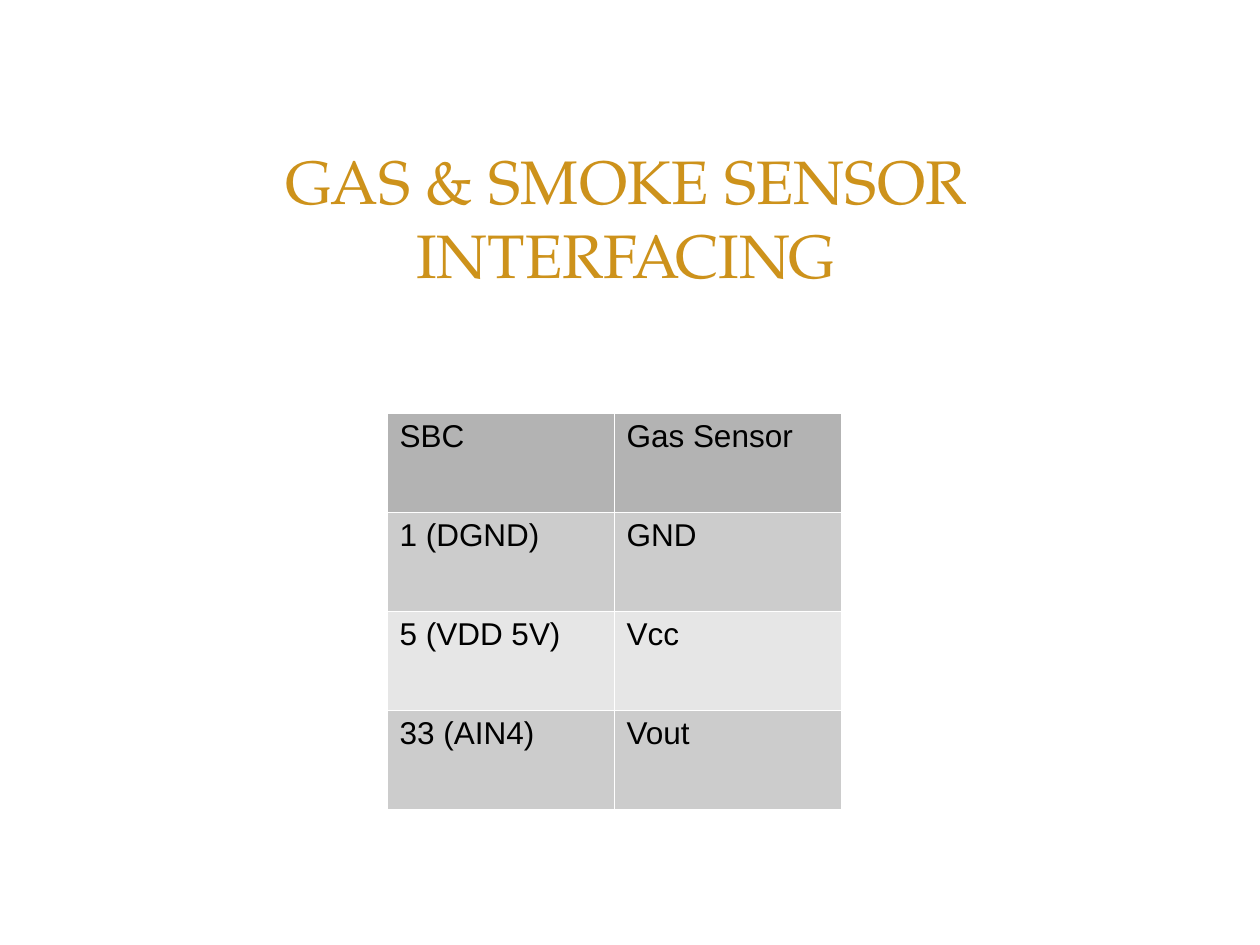
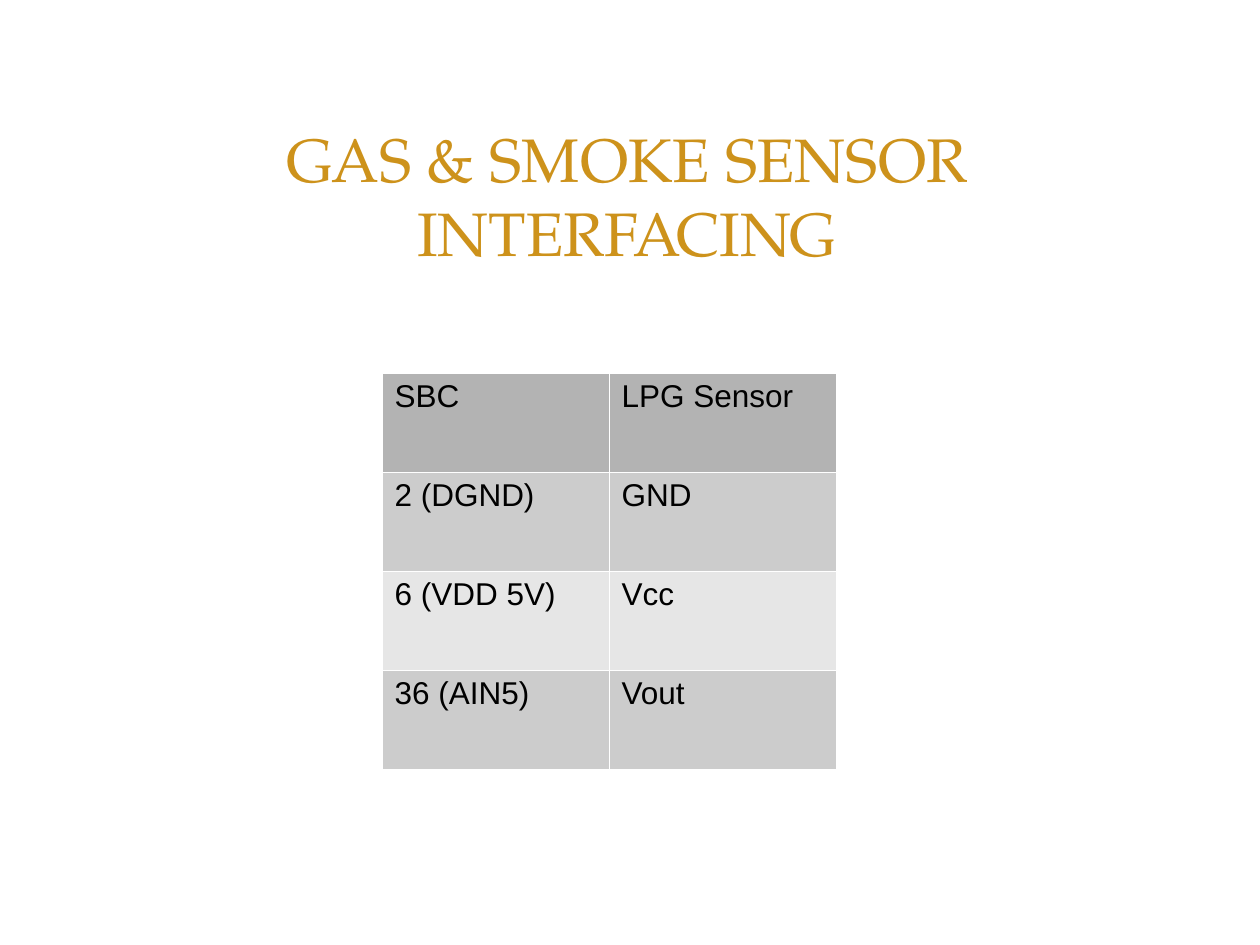
from dataclasses import dataclass

from lxml.etree import SubElement
from pptx import Presentation
from pptx.dml.color import RGBColor
from pptx.enum.shapes import MSO_SHAPE
from pptx.enum.text import MSO_ANCHOR, PP_ALIGN
from pptx.oxml.ns import qn
from pptx.slide import Slide
from pptx.table import _Cell
from pptx.text.text import _Paragraph
from pptx.util import Emu, Pt

WHITE = RGBColor(0xFF, 0xFF, 0xFF)
BLACK = RGBColor(0x00, 0x00, 0x00)
GOLD = RGBColor(0xCD, 0x92, 0x1B)
HEAD = RGBColor(0xB3, 0xB3, 0xB3)
BANDS = (RGBColor(0xCC, 0xCC, 0xCC), RGBColor(0xE6, 0xE6, 0xE6))
SERIF = "TeX Gyre Pagella"
SANS = "Arial"
TITLE = "GAS & SMOKE SENSOR INTERFACING"
COL, ROW = 227, 99


@dataclass(frozen=True)
class Wiring:
    title: tuple[int, int]
    grid: tuple[int, int]
    rows: tuple[tuple[str, str], ...]


PAGES = (
    Wiring((57, 145), (387, 413), (
        ("SBC", "Gas Sensor"),
        ("1 (DGND)", "GND"),
        ("5 (VDD 5V)", "Vcc"),
        ("33 (AIN4)", "Vout"),
    )),
    Wiring((58, 123), (382, 373), (
        ("SBC", "LPG Sensor"),
        ("2 (DGND)", "GND"),
        ("6 (VDD 5V)", "Vcc"),
        ("36 (AIN5)", "Vout"),
    )),
)


def px(count: float) -> Emu:
    return Emu(round(count * 914400 / 126))


def add_run(para: _Paragraph, text: str, font: str, size: int, color: RGBColor) -> None:
    run = para.add_run()
    run.text = text
    run.font.name = font
    run.font.size = Pt(size)
    run.font.bold = False
    run.font.color.rgb = color


def add_panel(slide: Slide) -> None:
    panel = slide.shapes.add_shape(
        MSO_SHAPE.ROUNDED_RECTANGLE, px(13), px(14), px(1235), px(919))
    panel.adjustments[0] = 0.02
    panel.shadow.inherit = False
    panel.fill.solid()
    panel.fill.fore_color.rgb = WHITE
    panel.line.fill.background()


def add_title(slide: Slide, left: int, top: int) -> None:
    frame = slide.shapes.add_textbox(px(left), px(top), px(1138), px(144)).text_frame
    frame.word_wrap = True
    frame.vertical_anchor = MSO_ANCHOR.MIDDLE
    frame.margin_left = frame.margin_right = px(25)
    para = frame.paragraphs[0]
    para.alignment = PP_ALIGN.CENTER
    add_run(para, TITLE, SERIF, 35, GOLD)


def add_edges(cell: _Cell) -> None:
    props = cell._tc.get_or_add_tcPr()
    for side in ("lnL", "lnR", "lnT", "lnB"):
        edge = SubElement(props, qn(f"a:{side}"), w=str(Pt(0.06)))
        fill = SubElement(edge, qn("a:solidFill"))
        SubElement(fill, qn("a:srgbClr"), val=str(WHITE))


def add_grid(slide: Slide, page: Wiring) -> None:
    left, top = page.grid
    count = len(page.rows)
    table = slide.shapes.add_table(
        count, 2, px(left), px(top), px(2 * COL), px(count * ROW)).table
    table.first_row = table.horz_banding = False
    for col in table.columns:
        col.width = px(COL)
    for i, texts in enumerate(page.rows):
        table.rows[i].height = px(ROW)
        for j, text in enumerate(texts):
            cell = table.cell(i, j)
            add_edges(cell)
            cell.fill.solid()
            cell.fill.fore_color.rgb = BANDS[(i - 1) % 2] if i else HEAD
            add_run(cell.text_frame.paragraphs[0], text, SANS, 18, BLACK)


def main() -> None:
    """Build the sensor wiring slides and save the deck."""
    deck = Presentation()
    deck.slide_width, deck.slide_height = px(1260), px(945)
    for page in PAGES:
        slide = deck.slides.add_slide(deck.slide_layouts[6])
        add_panel(slide)
        add_title(slide, *page.title)
        add_grid(slide, page)
    deck.save("out.pptx")


main()
